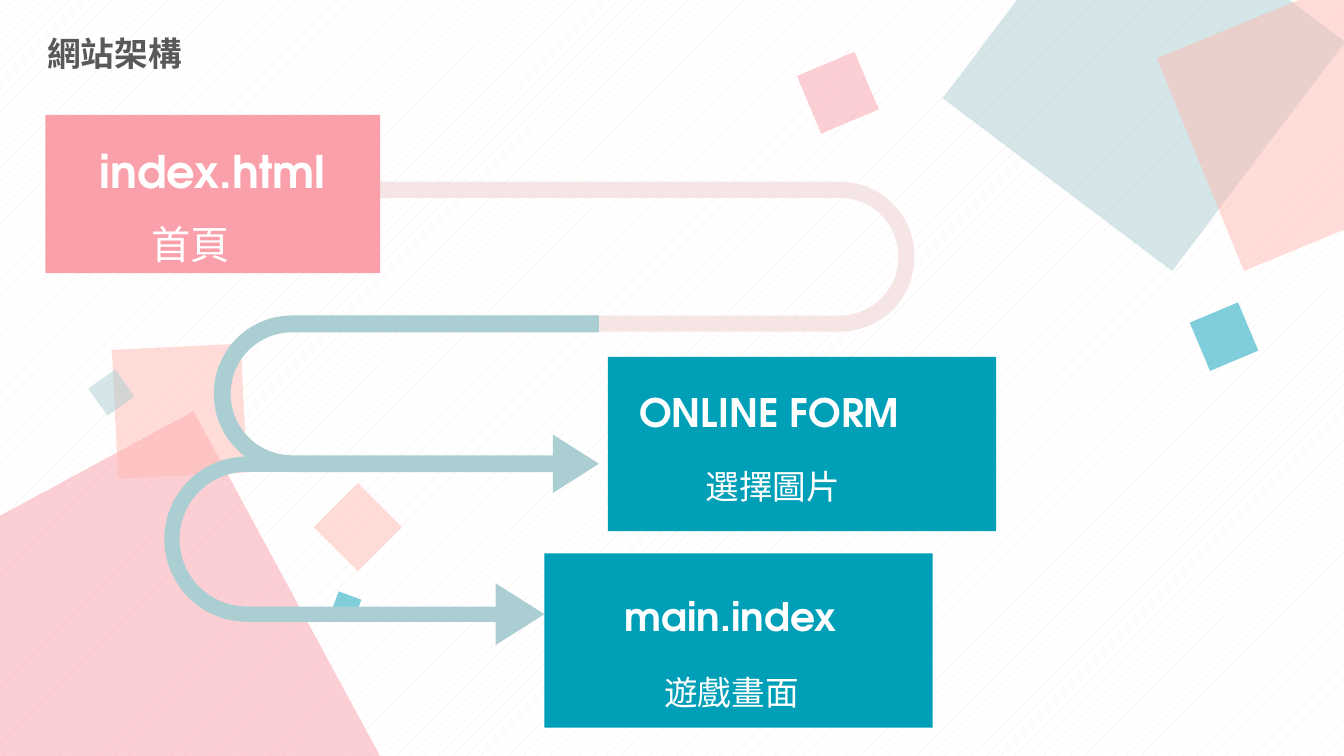
import lxml.etree
import pptx
import pptx.dml.color
import pptx.enum.dml
import pptx.enum.shapes
import pptx.enum.text
import pptx.oxml.ns
import pptx.util

RGBColor = pptx.dml.color.RGBColor
PINK = RGBColor(0xFA, 0xA0, 0xAA)
PEACH = RGBColor(0xFF, 0xBB, 0xB3)
MIST = RGBColor(0xAA, 0xCE, 0xD2)
TEAL = RGBColor(0x00, 0x9F, 0xB8)
BLUSH = RGBColor(0xF5, 0xE5, 0xE4)
WHITE = RGBColor(0xFF, 0xFF, 0xFF)
GREY = RGBColor(0x59, 0x59, 0x59)

PX = 9144
CHINESE = "Noto Sans CJK SC"
LATIN = "TeX Gyre Adventor"
SHAPES = pptx.enum.shapes.MSO_SHAPE
qn = pptx.oxml.ns.qn

SQUARES = [
    (-93, 480, 406, 331.6, PINK),
    (114, 344, 128, 357.2, PEACH),
    (324, 492, 62, 315, PEACH),
    (94, 373, 33, 324.4, MIST),
    (992, -73, 285, 37, MIST),
    (1182, 6, 228, 337.7, PEACH),
    (800, 61, 62, 337.2, PINK),
    (1188, 308, 52, 337.2, TEAL),
    (331, 590, 24, 290.5, TEAL),
]
ARROWS = [
    ((537, -41, 168, 572), 90, BLUSH, (0.095, 0.162, 0.241, 0.441, 1)),
    ((315, 210, 176, 382), 270, MIST, (0.095, 0.164, 0.259, 0.441, 1)),
    ((258, 358, 187, 377), 270, MIST, (0.081, 0.164, 0.259, 0.45, 1)),
]
CARDS = [
    ((45, 114, 332, 157), PINK, ("index.html", 32, 44, 8), ("首頁", 28, 95, 86)),
    ((603, 354, 385, 173), TEAL, ("ONLINE FORM", 28, 21, 12), ("選擇圖片", 24, 87, 91)),
    ((540, 549, 385, 173), TEAL, ("main.index", 28, 70, 20), ("遊戲畫面", 24, 109, 101)),
]


def emu(box):
    """Turn px lengths into EMU."""
    return [pptx.util.Emu(length * PX) for length in box]


def add_flat(slide, preset, box, color, rotation=0):
    """Add a plain filled shape without line or shadow."""
    shape = slide.shapes.add_shape(preset, *emu(box))
    shape.shadow.inherit = False
    shape.fill.solid()
    shape.fill.fore_color.rgb = color
    shape.line.fill.background()
    shape.rotation = rotation
    return shape


def write(frame, text, face, size, color, bold=False, spacing=1.3):
    """Write one formatted, left-aligned paragraph into a text frame."""
    frame.word_wrap = True
    paragraph = frame.paragraphs[0]
    paragraph.alignment = pptx.enum.text.PP_ALIGN.LEFT
    paragraph.line_spacing = spacing
    run = paragraph.add_run()
    run.text = text
    look = {"name": face, "size": pptx.util.Pt(size), "bold": bold}
    for key, value in look.items():
        setattr(run.font, key, value)
    run.font.color.rgb = color
    east_asian = lxml.etree.SubElement(run.font._element, qn("a:ea"))
    east_asian.set("typeface", CHINESE)


def add_backdrop(slide):
    """Pattern the background and scatter half-transparent squares."""
    fill = slide.background.fill
    fill.patterned()
    fill.pattern = pptx.enum.dml.MSO_PATTERN.PERCENT_5
    fill.fore_color.rgb = BLUSH
    fill.back_color.rgb = WHITE
    for left, top, side, rotation, color in SQUARES:
        square = add_flat(slide, SHAPES.RECTANGLE, (left, top, side, side), color, rotation)
        tint = square._element.spPr.find(qn("a:solidFill"))[0]
        lxml.etree.SubElement(tint, qn("a:alpha")).set("val", "50000")


def add_title(slide, box):
    """Fill the title placeholder."""
    title = slide.shapes.title
    title.left, title.top, title.width, title.height = emu(box)
    frame = title.text_frame
    frame.auto_size = pptx.enum.text.MSO_AUTO_SIZE.NONE
    frame.vertical_anchor = pptx.enum.text.MSO_ANCHOR.MIDDLE
    write(frame, "網站架構", CHINESE, 24, GREY, bold=True, spacing=0.9)


def add_turn(slide, box, rotation, color, bends):
    """Add a mirrored U-turn arrow."""
    arrow = add_flat(slide, SHAPES.U_TURN_ARROW, box, color, rotation)
    for index, bend in enumerate(bends):
        arrow.adjustments[index] = bend
    arrow._element.spPr.find(qn("a:xfrm")).set("flipH", "1")


def add_card(slide, box, color, heading, caption):
    """Add a page card with its heading and caption placed inside the box."""
    add_flat(slide, SHAPES.RECTANGLE, box, color)
    parts = ((heading, LATIN, 315, 71, True), (caption, CHINESE, 183, 62, False))
    for (text, size, dx, dy), face, width, height, bold in parts:
        label = slide.shapes.add_textbox(*emu((box[0] + dx, box[1] + dy, width, height)))
        label.text_frame.auto_size = pptx.enum.text.MSO_AUTO_SIZE.SHAPE_TO_FIT_TEXT
        write(label.text_frame, text, face, size, WHITE, bold)


def main():
    """Build the site structure slide."""
    deck = pptx.Presentation()
    deck.slide_width, deck.slide_height = emu((1333, 750))
    slide = deck.slides.add_slide(deck.slide_layouts[5])
    add_backdrop(slide)
    add_title(slide, (37, 26, 613, 58))
    for arrow in ARROWS:
        add_turn(slide, *arrow)
    for card in CARDS:
        add_card(slide, *card)
    deck.save("out.pptx")


if __name__ == "__main__":
    main()
